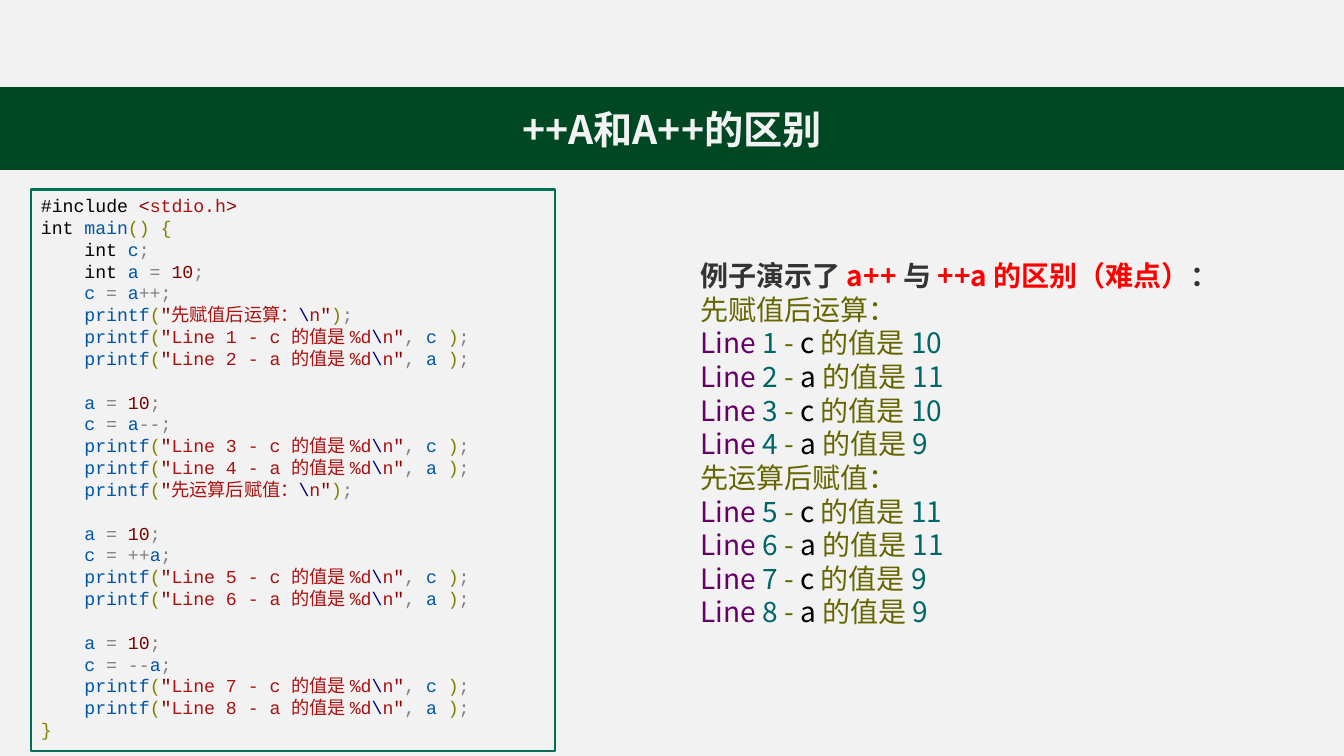
from dataclasses import dataclass

from lxml import etree
from pptx import Presentation
from pptx import util as u
from pptx.dml import color as dml
from pptx.enum import shapes, text
from pptx.oxml import ns

COLS, ROWS = 1280, 720
LEADING = 1.2
CODE_FONT, TEXT_FONT = "Courier New", "Noto Sans CJK SC"
COLORS = {
    "back": "F2F2F2", "band": "004723", "frame": "017058",
    "plain": "000000", "name": "0055AA", "sign": "808080", "bracket": "808000",
    "quote": "8B0000", "string": "AA1111", "escape": "000080", "number": "800000",
    "heading": "333333", "alert": "FF0000", "olive": "666600",
    "purple": "660066", "teal": "006666",
}


@dataclass(frozen=True)
class Cell:
    col: float
    row: float
    cols: float
    rows: float


@dataclass(frozen=True)
class Piece:
    words: str
    color: str
    bold: bool = False


Line = list[Piece]
INDENT = Piece("    ", "sign")
END = Piece(";", "sign")


def rgb(name: str) -> dml.RGBColor:
    return dml.RGBColor.from_string(COLORS[name])


def printf(words: str, arg: str = "") -> Line:
    args = [Piece(", ", "sign"), Piece(f"{arg} ", "name")] if arg else []
    return [INDENT, Piece("printf", "name"), Piece("(", "bracket"), Piece('"', "quote"),
            Piece(words, "string"), Piece("\\", "escape"), Piece("n", "string"),
            Piece('"', "quote"), *args, Piece(")", "bracket"), END]


def print_value(number: int, name: str) -> Line:
    return printf(f"Line {number} - {name} 的值是 %d", name)


def set_ten(kind: str = "") -> Line:
    return [INDENT, Piece(kind, "plain"), Piece("a", "name"), Piece(" = ", "sign"),
            Piece("10", "number"), END]


def set_c(before: str = "", after: str = "") -> Line:
    return [INDENT, Piece("c", "name"), Piece(f" = {before}", "sign"),
            Piece("a", "name"), Piece(f"{after};", "sign")]


def result(number: int, name: str, value: int) -> Line:
    return [Piece("Line ", "purple"), Piece(f"{number} ", "teal"), Piece("-", "olive"),
            Piece(f" {name} ", "plain"), Piece("的值是 ", "olive"), Piece(str(value), "teal")]


def place(sp, cell: Cell) -> None:
    sp.left, sp.width = (int(prs.slide_width * n / COLS) for n in (cell.col, cell.cols))
    sp.top, sp.height = (int(prs.slide_height * n / ROWS) for n in (cell.row, cell.rows))


def set_font(r, name: str, size: float, color: str, bold: bool) -> None:
    r.font.name, r.font.size, r.font.bold = name, u.Pt(size), bold
    r.font.color.rgb = rgb(color)
    ea = etree.SubElement(r.font._element, ns.qn("a:ea"))
    ea.set("typeface", TEXT_FONT)


def write(tf, lines: list[Line], font: str, size: int) -> None:
    for i, line in enumerate(lines):
        p = tf.add_paragraph() if i else tf.paragraphs[0]
        p.alignment = text.PP_ALIGN.LEFT
        p.line_spacing = u.Pt(size * LEADING)
        p.font.size = u.Pt(size)
        for piece in line:
            if piece.words:
                r = p.add_run()
                r.text = piece.words
                set_font(r, font, size, piece.color, piece.bold)


def add_backdrop(s, cell: Cell) -> None:
    sp = s.shapes.add_shape(shapes.MSO_SHAPE.RECTANGLE, 0, 0, 0, 0)
    place(sp, cell)
    sp.shadow.inherit = False
    sp.fill.solid()
    sp.fill.fore_color.rgb = rgb("back")
    sp.line.fill.background()
    s.shapes.title._element.addprevious(sp._element)


def add_title(s, words: str, cell: Cell) -> None:
    sp = s.shapes.title
    place(sp, cell)
    sp.fill.solid()
    sp.fill.fore_color.rgb = rgb("band")
    sp.line.color.rgb = rgb("band")
    sp.line.width = u.Pt(1)
    tf = sp.text_frame
    tf.text = words
    tf.auto_size = text.MSO_AUTO_SIZE.NONE
    tf.vertical_anchor = text.MSO_ANCHOR.MIDDLE
    p = tf.paragraphs[0]
    p.alignment = text.PP_ALIGN.CENTER
    set_font(p.runs[0], TEXT_FONT, 28, "back", True)


def add_code(s, lines: list[Line], cell: Cell) -> None:
    sp = s.shapes.add_shape(shapes.MSO_SHAPE.RECTANGLE, 0, 0, 0, 0)
    place(sp, cell)
    sp.shadow.inherit = False
    sp.fill.background()
    sp.line.color.rgb = rgb("frame")
    sp.line.width = u.Pt(1.5)
    sp.text_frame.vertical_anchor = text.MSO_ANCHOR.TOP
    write(sp.text_frame, lines, CODE_FONT, 13)


def add_results(s, lines: list[Line], cell: Cell) -> None:
    sp = s.shapes.add_textbox(0, 0, 0, 0)
    place(sp, cell)
    sp.text_frame.word_wrap = True
    sp.text_frame.vertical_anchor = text.MSO_ANCHOR.MIDDLE
    write(sp.text_frame, lines, TEXT_FONT, 20)


CODE = [
    [Piece("#include ", "plain"), Piece("<", "quote"), Piece("stdio.h", "string"),
     Piece(">", "quote")],
    [Piece("int ", "plain"), Piece("main", "name"), Piece("() {", "bracket")],
    [INDENT, Piece("int ", "plain"), Piece("c", "name"), END],
    set_ten("int "), set_c(after="++"), printf("先赋值后运算："),
    print_value(1, "c"), print_value(2, "a"), [],
    set_ten(), set_c(after="--"),
    print_value(3, "c"), print_value(4, "a"), printf("先运算后赋值："), [],
    set_ten(), set_c(before="++"), print_value(5, "c"), print_value(6, "a"), [],
    set_ten(), set_c(before="--"), print_value(7, "c"), print_value(8, "a"),
    [Piece("}", "bracket")],
]
RESULTS = [
    [Piece("例子演示了 ", "heading", True), Piece("a++ ", "alert", True),
     Piece("与 ", "heading", True), Piece("++a 的区别（难点）", "alert", True),
     Piece("：", "heading", True)],
    [Piece("先赋值后运算：", "olive")],
    result(1, "c", 10), result(2, "a", 11), result(3, "c", 10), result(4, "a", 9),
    [Piece("先运算后赋值：", "olive")],
    result(5, "c", 11), result(6, "a", 11), result(7, "c", 9), result(8, "a", 9),
]

prs = Presentation()
prs.slide_width, prs.slide_height = u.Inches(13.33), u.Inches(7.5)
s = prs.slides.add_slide(prs.slide_layouts[5])
add_backdrop(s, Cell(0, 0, COLS, ROWS))
add_title(s, "++A和A++的区别", Cell(0, 83.5, COLS, 77.5))
add_code(s, CODE, Cell(29.5, 180.5, 499, 535))
add_results(s, RESULTS, Cell(657.5, 241.5, 560, 362))
prs.save("out.pptx")
